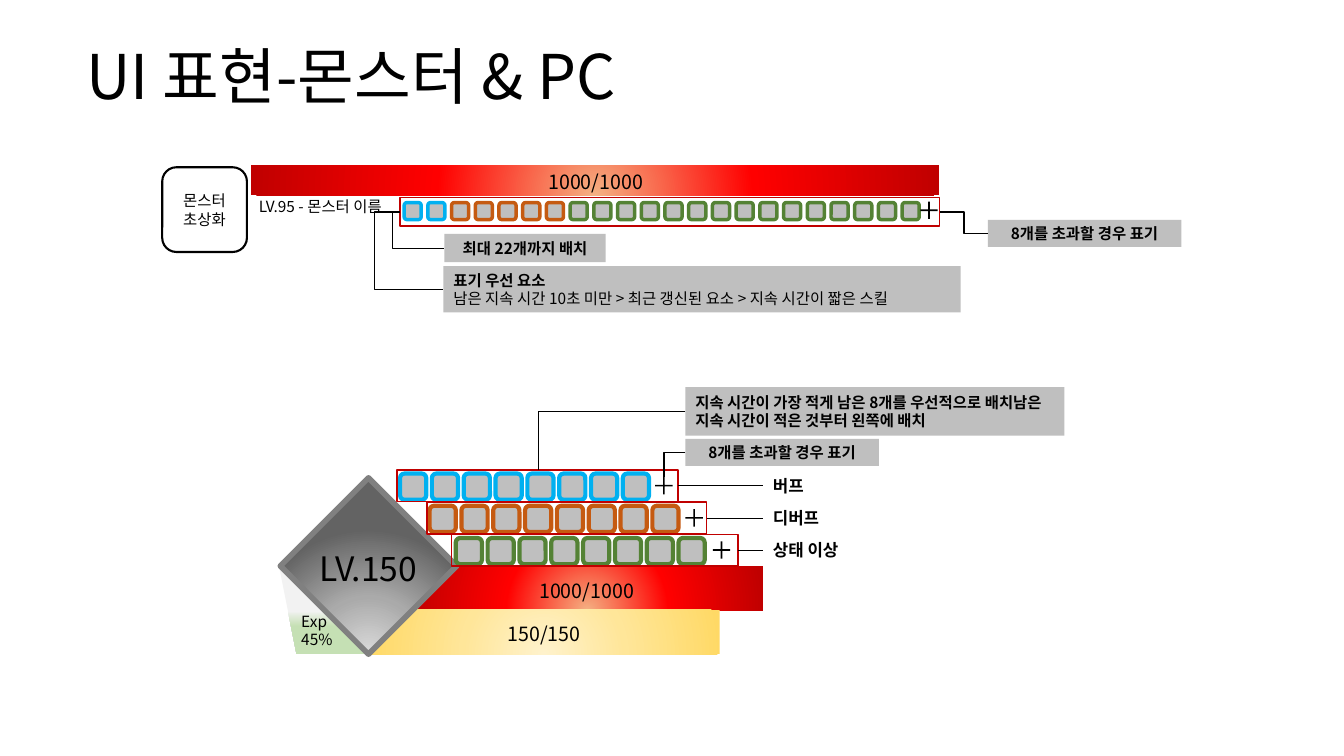
from dataclasses import dataclass

from pptx import Presentation
from pptx import util as u
from pptx.dml.color import RGBColor
from pptx.enum import shapes as sh, text as tx
from pptx.oxml import parse_xml
from pptx.oxml.ns import nsdecls, qn
from pptx.shapes.autoshape import Shape

Box = tuple[float, float, float, float]
Point = tuple[float, float]
Stops = tuple[tuple[int, str], ...]
KIND = sh.MSO_SHAPE
MID = tx.PP_ALIGN.CENTER
LEFT = tx.PP_ALIGN.LEFT


@dataclass(frozen=True)
class Theme:
    font: str = "Noto Sans CJK KR"
    black: str = "000000"
    gray: str = "BFBFBF"
    edge: str = "808080"
    frame: str = "C00000"
    buff: str = "00B0F0"
    debuff: str = "C55A11"
    state: str = "548235"
    health: Stops = ((0, "F4B183"), (46, "FF0000"), (100, "C00000"))
    mana: Stops = ((0, "FFF2CC"), (46, "FFE699"), (100, "FFD966"))
    steel: Stops = ((0, "DBDBDB"), (46, "AAAAAA"), (100, "636363"))
    exp: Stops = ((51, "F2F2F2"), (68, "C5E0B4"))
    title: float = 44
    level: float = 24
    value: float = 14
    label: float = 12
    note: float = 11


T = Theme()


@dataclass(frozen=True)
class Row:
    """A framed strip of effect icons, closed by a plus sign."""
    start: Point
    pitch: float
    size: float
    line: float
    tints: list[str]
    frame: Box
    plus: Point


@dataclass(frozen=True)
class Label:
    text: str
    box: Box
    size: float = T.note
    align: tx.PP_ALIGN = MID
    bold: int = 0  # number of leading bold paragraphs
    fill: str | None = None


@dataclass(frozen=True)
class Wire:
    start: Point
    end: Point
    bend: float | None = None  # None turns a single corner


deck = Presentation()
deck.slide_width, deck.slide_height = u.Pt(960), u.Pt(540)
slide = deck.slides.add_slide(deck.slide_layouts[6])


def draw(kind: KIND, box: Box, fill: str | None = None,
         line: str | None = None, width: float = 1) -> Shape:
    item = slide.shapes.add_shape(kind, *map(u.Pt, box))
    item.shadow.inherit = False
    if fill:
        item.fill.solid()
        item.fill.fore_color.rgb = RGBColor.from_string(fill)
    else:
        item.fill.background()
    if line:
        item.line.color.rgb = RGBColor.from_string(line)
        item.line.width = u.Pt(width)
    else:
        item.line.fill.background()
    return item


def blend(item: Shape, stops: Stops, round_: bool = True) -> None:
    """Fill with a glow from below, or with a top-down gradient."""
    marks = "".join(f'<a:gs pos="{pos * 1000}"><a:srgbClr val="{tint}"/></a:gs>'
                    for pos, tint in stops)
    glow = ('<a:path path="circle"><a:fillToRect l="50000" t="130000" '
            'r="50000" b="-30000"/></a:path>')
    way = glow if round_ else '<a:lin ang="5400000" scaled="0"/>'
    item.fill.gradient()
    old = item.element.spPr.find(qn("a:gradFill"))
    old.getparent().replace(old, parse_xml(
        f'<a:gradFill {nsdecls("a")} rotWithShape="1">'
        f'<a:gsLst>{marks}</a:gsLst>{way}</a:gradFill>'))


def write(item: Shape, label: Label) -> None:
    frame = item.text_frame
    frame.word_wrap = True
    frame.text = label.text
    for n, para in enumerate(frame.paragraphs):
        para.alignment = label.align
        para.font.name = T.font
        para.font.size = u.Pt(label.size)
        para.font.bold = n < label.bold
        para.font.color.rgb = RGBColor.from_string(T.black)
    for latin in list(item.element.iter(qn("a:latin"))):
        latin.addnext(parse_xml(f'<a:ea {nsdecls("a")} typeface="{T.font}"/>'))


def put(label: Label) -> Shape:
    if label.fill:
        item = draw(KIND.RECTANGLE, label.box, label.fill)
        item.text_frame.vertical_anchor = tx.MSO_ANCHOR.MIDDLE
    else:
        item = slide.shapes.add_textbox(*map(u.Pt, label.box))
    write(item, label)
    return item


def link(start: Point, end: Point, width: float,
         kind: sh.MSO_CONNECTOR = sh.MSO_CONNECTOR.STRAIGHT):
    wire = slide.shapes.add_connector(kind, *map(u.Pt, start + end))
    wire.line.color.rgb = RGBColor.from_string(T.black)
    wire.line.width = u.Pt(width)
    wire.element.spPr.append(parse_xml(f'<a:effectLst {nsdecls("a")}/>'))
    return wire


def bend(wire: Wire) -> None:
    item = link(wire.start, wire.end, 1, sh.MSO_CONNECTOR.ELBOW)
    geom = item.element.spPr.find(qn("a:prstGeom"))
    if wire.bend is None:
        geom.set("prst", "bentConnector2")
    else:
        geom.get_or_add_avLst().append(parse_xml(
            f'<a:gd {nsdecls("a")} name="adj1" '
            f'fmla="val {round(wire.bend * 100000)}"/>'))


def strip(row: Row) -> None:
    left, top = row.start
    for n, tint in enumerate(row.tints):
        draw(KIND.ROUNDED_RECTANGLE,
             (left + n * row.pitch, top, row.size, row.size),
             T.gray, tint, row.line)
    draw(KIND.RECTANGLE, row.frame, None, T.frame, 1.25)
    plus = draw(KIND.CROSS, (*row.plus, 12.4, 12.4), T.black)
    plus.adjustments[0] = 0.451


# Title
title = put(Label("UI 표현-몬스터 & PC", (54.7, 23, 850.3, 67.7), T.title, LEFT))
title.text_frame.vertical_anchor = tx.MSO_ANCHOR.MIDDLE
title.text_frame.paragraphs[0].line_spacing = 0.9

# Player bars, experience and level badge
for box, stops in (((293.8, 404.6, 251.3, 31.7), T.health),
                   ((262.8, 435.6, 251.3, 31.9), T.mana),
                   ((179.3, 118.1, 491.8, 21.6), T.health)):
    blend(draw(KIND.RECTANGLE, box), stops)
exp = draw(KIND.FLOWCHART_DATA, (199.4, 404.6, 62.6, 62.6))
exp.element.spPr.find(qn("a:xfrm")).set("flipH", "1")
blend(exp, T.exp, False)
blend(draw(KIND.DIAMOND, (200.2, 341.3, 126, 126), None, T.edge, 4), T.steel)

# Monster portrait
face = draw(KIND.ROUNDED_RECTANGLE, (115.9, 119.5, 60.5, 60.5),
            None, T.black, 1.5)
write(face, Label("몬스터\n초상화", (0, 0, 0, 0)))

# Bar values, names and notes
for label in (
    Label("LV.150", (219.6, 388.1, 87.1, 32.4), T.level),
    Label("Exp\n45%", (208.1, 433.4, 37.4, 33.8), align=LEFT),
    Label("1000/1000", (366.5, 409.7, 105.1, 21.6), T.value),
    Label("150/150", (336.2, 440.6, 105.1, 21.6), T.value),
    Label("1000/1000", (322.6, 118.1, 205.9, 21.6), T.value),
    Label("LV.95 - 몬스터 이름", (177.8, 137.5, 115.2, 20.9), align=LEFT),
    Label("지속 시간이 가장 적게 남은 8개를 우선적으로 배치남은 지속 시간이 "
          "적은 것부터 왼쪽에 배치", (489.6, 276.5, 270.7, 34.6),
          align=LEFT, bold=1, fill=T.gray),
    Label("8개를 초과할 경우 표기", (489.6, 313.5, 138.2, 19.4),
          bold=1, fill=T.gray),
    Label("최대 22개까지 배치", (317.5, 167, 115.2, 20.2),
          bold=1, fill=T.gray),
    Label("표기 우선 요소\n남은 지속 시간 10초 미만 > 최근 갱신된 요소 > "
          "지속 시간이 짧은 스킬", (316.8, 190.1, 369.4, 33.1),
          align=LEFT, bold=1, fill=T.gray),
    Label("8개를 초과할 경우 표기", (705.6, 157, 138.2, 19.4),
          bold=1, fill=T.gray),
):
    put(label)

# Player effect rows with their names
for n, (name, tint, left, edge, wide, plus) in enumerate((
    ("버프", T.buff, 285.8, 283.7, 200.9, 468),
    ("디버프", T.debuff, 306.9, 305.3, 199.4, 489.6),
    ("상태 이상", T.state, 325.6, 322.6, 204.5, 509.2),
)):
    top = 335.7 + n * 23
    strip(Row((left, top + 2.6), 22.73, 18.7, 3, [tint] * 8,
              (edge, top, wide, 22.6), (plus, top + 5)))
    put(Label(name, (545, top + 0.4, 69.1, 21.6), T.label, LEFT, 1))
    link((edge + wide, top + 11.4), (545, top + 11.4), 0.75)

# Monster effect row
strip(Row((288.7, 144.7), 16.94, 12.2, 2.5,
          [T.buff] * 2 + [T.debuff] * 5 + [T.state] * 15,
          (285.8, 141.1, 385.4, 20.2), (657.4, 144)))

# Wires from notes to rows
for wire in (
    Wire((489.6, 293.8), (384.5, 335.5)),
    Wire((489.6, 323.3), (474.2, 340.6)),
    Wire((671.4, 151.4), (705.6, 166.7), 0.5),
    Wire((285.8, 151.4), (317.5, 177.5), -0.164),
    Wire((285.8, 151.4), (316.8, 206.6), -0.586),
):
    bend(wire)

deck.save("out.pptx")
